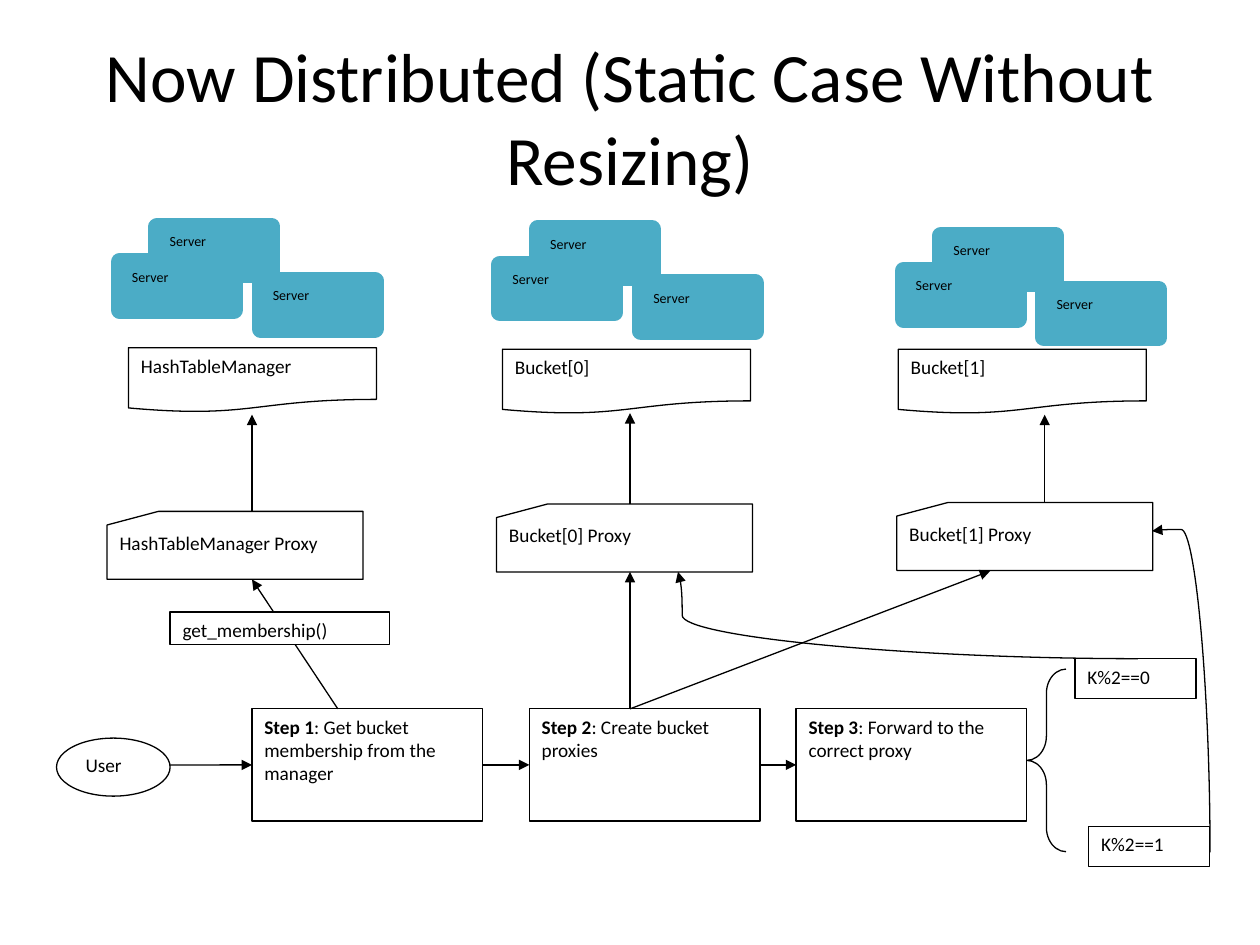
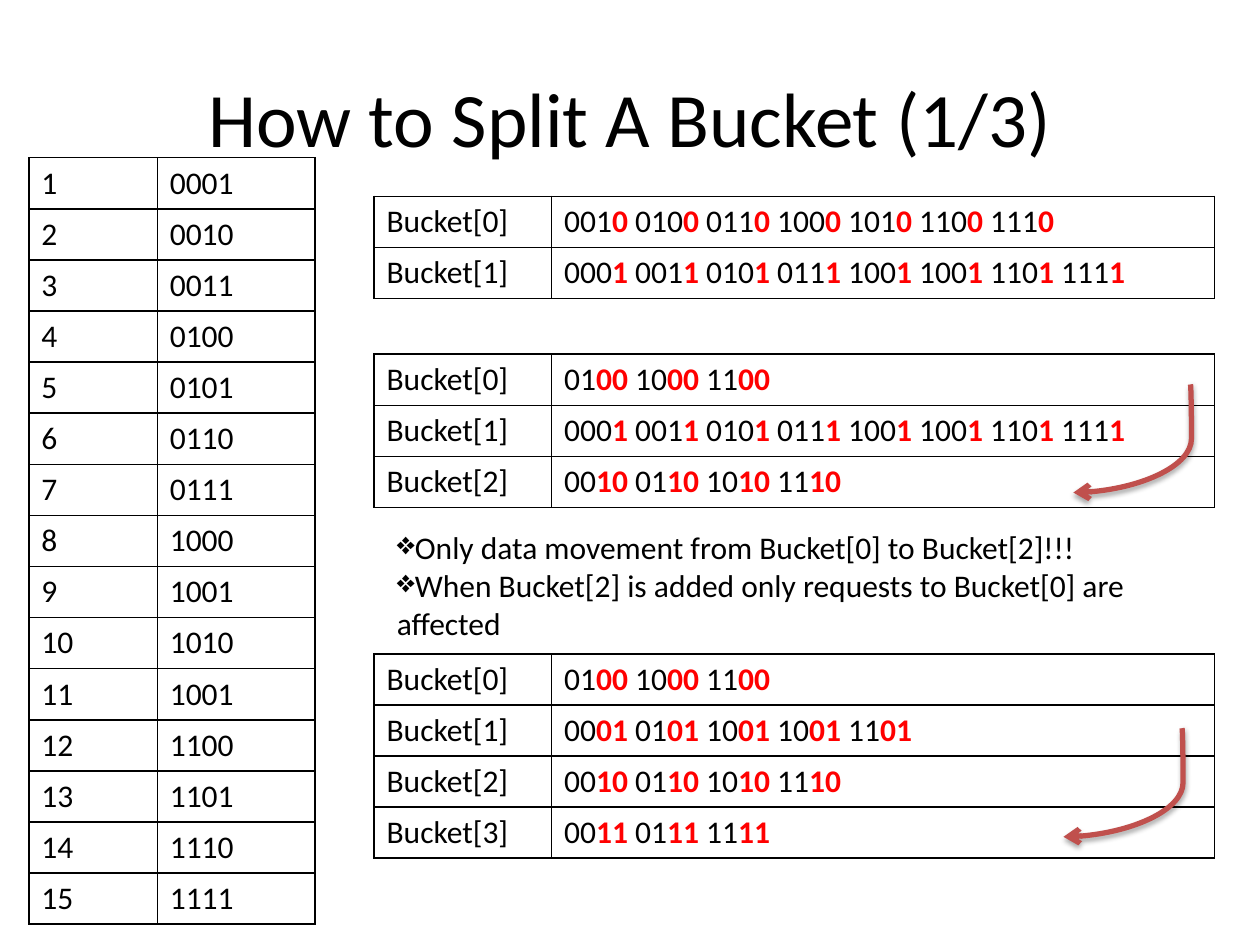
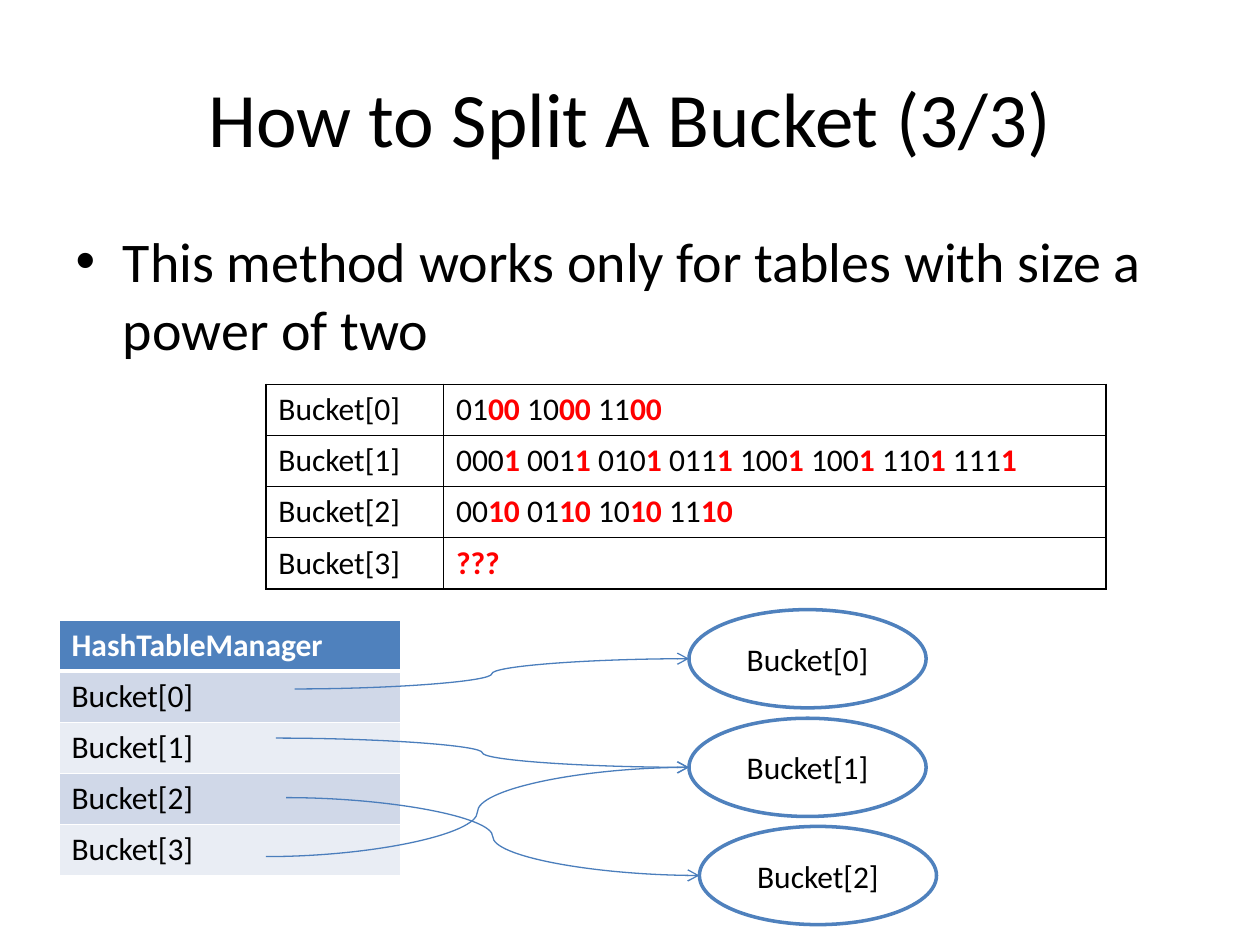
"""Build three slides on a distributed hash table and how its buckets split."""
from lxml.etree import SubElement
from pptx import Presentation
from pptx.dml.color import RGBColor
from pptx.enum.shapes import MSO_CONNECTOR, MSO_SHAPE
from pptx.enum.text import MSO_ANCHOR, MSO_AUTO_SIZE, PP_ALIGN
from pptx.oxml.ns import qn
from pptx.util import Cm, Pt

FONT = "Calibri"
BLACK = RGBColor(0x00, 0x00, 0x00)
WHITE = RGBColor(0xFF, 0xFF, 0xFF)
RED = RGBColor(0xFF, 0x00, 0x00)
TEAL = RGBColor(0x4B, 0xAC, 0xC6)
BLUE = RGBColor(0x4F, 0x81, 0xBD)
ARROW_BLUE = RGBColor(0x4B, 0x7E, 0xBC)
BRICK = RGBColor(0xC0, 0x50, 0x4D)
DARK_BAND = RGBColor(0xD0, 0xD8, 0xE8)
LIGHT_BAND = RGBColor(0xE9, 0xED, 0xF4)


def add_box(slide, preset, left, top, width, height, runs, size=11,
            fill=WHITE, line=BLACK, line_width=0.75):
    """Add a filled shape with top-left text given as (text, bold) runs."""
    shape = slide.shapes.add_shape(preset, Cm(left), Cm(top), Cm(width), Cm(height))
    shape.shadow.inherit = False
    shape.fill.solid()
    shape.fill.fore_color.rgb = fill
    shape.line.color.rgb = line
    shape.line.width = Pt(line_width)
    shape.text_frame.vertical_anchor = MSO_ANCHOR.TOP
    paragraph = shape.text_frame.paragraphs[0]
    paragraph.alignment = PP_ALIGN.LEFT
    paragraph.space_after = Pt(10)
    for text, bold in runs:
        run = paragraph.add_run()
        run.text = text
        run.font.name = FONT
        run.font.size = Pt(size)
        run.font.bold = bold
        run.font.color.rgb = BLACK
    return shape


def add_arrow(slide, start, end, color=BLACK, width=0.75, head="triangle", bend=None):
    """Add an arrow; a bend percentage makes it curved."""
    kind = MSO_CONNECTOR.STRAIGHT if bend is None else MSO_CONNECTOR.CURVE
    arrow = slide.shapes.add_connector(kind, *map(Cm, start + end))
    arrow.line.color.rgb = color
    arrow.line.width = Pt(width)
    properties = arrow._element.spPr
    SubElement(properties.find(qn("a:ln")), qn("a:tailEnd"), type=head)
    SubElement(properties, qn("a:effectLst"))
    if bend is not None:
        adjustments = properties.find(qn("a:prstGeom")).find(qn("a:avLst"))
        SubElement(adjustments, qn("a:gd"), name="adj1", fmla=f"val {round(bend * 1000)}")
    return arrow


presentation = Presentation()
presentation.slide_width = Cm(25.4)
presentation.slide_height = Cm(19.05)

slides = []
for layout, title, size in [
    (5, "Now Distributed (Static Case Without Resizing)", 39.6),
    (5, "How to Split A Bucket (1/3)", 44),
    (1, "How to Split A Bucket (3/3)", 44),
]:
    slide = presentation.slides.add_slide(presentation.slide_layouts[layout])
    run = slide.shapes.title.text_frame.paragraphs[0].add_run()
    run.text = title
    run.font.name = FONT
    run.font.size = Pt(size)
    run.font.color.rgb = BLACK
    slides.append(slide)
overview, splitting, limits = slides

codes = [f"{number:04b}" for number in range(1, 16)]
codes[10] = "1001"
tables = [
    (splitting, 0.58, 3.18, (2.59, 3.18),
     [(str(number), code, 0) for number, code in enumerate(codes, 1)]),
    (limits, 1.19, 12.5, (6.88,),
     [("HashTableManager", 0)] + [(f"Bucket[{index}]", 0) for index in range(4)]),
]
for slide, left, top, suffixes in [
    (splitting, 7.54, 3.96, ("0", "1")),
    (splitting, 7.54, 7.14, ("00", "1", "10")),
    (splitting, 7.54, 13.18, ("00", "01", "10", "11")),
    (limits, 5.36, 7.75, ("00", "1", "10", "???")),
]:
    rows = []
    for index, suffix in enumerate(suffixes):
        members = [code for code in codes if code.endswith(suffix)] or [suffix]
        rows.append((f"Bucket[{index}]", " ".join(members), len(suffix)))
    tables.append((slide, left, top, (3.58, 13.36), rows))

for slide, left, top, widths, rows in tables:
    is_manager = len(widths) == 1
    table = slide.shapes.add_table(len(rows), len(widths), Cm(left), Cm(top),
                                   Cm(sum(widths)), Cm(1.03 * len(rows))).table
    table.first_row = False
    table.horz_banding = False
    for column, width in zip(table.columns, widths):
        column.width = Cm(width)
    for row_index, (*texts, marked) in enumerate(rows):
        table.rows[row_index].height = Cm(1.03)
        is_header = is_manager and row_index == 0
        for column_index, text in enumerate(texts):
            cell = table.cell(row_index, column_index)
            for side in "LRTB":
                thick = is_manager and (row_index, side) in ((0, "B"), (1, "T"))
                border = SubElement(cell._tc.get_or_add_tcPr(), qn(f"a:ln{side}"),
                                    w=str(Pt(3 if thick else 1)))
                color = SubElement(border, qn("a:solidFill"))
                SubElement(color, qn("a:srgbClr"), val=str(WHITE if is_manager else BLACK))
            if is_manager:
                cell.fill.solid()
                band = DARK_BAND if row_index % 2 else LIGHT_BAND
                cell.fill.fore_color.rgb = BLUE if is_header else band
            else:
                cell.fill.background()
            paragraph = cell.text_frame.paragraphs[0]
            words = text.split()
            for word_index, word in enumerate(words):
                cut = len(word) - (marked if column_index else 0)
                gap = " " if word_index < len(words) - 1 else ""
                for part, highlighted in ((word[:cut], False), (word[cut:] + gap, True)):
                    if part:
                        run = paragraph.add_run()
                        run.text = part
                        run.font.name = FONT
                        run.font.size = Pt(18)
                        run.font.bold = highlighted or is_header
                        run.font.color.rgb = RED if highlighted else WHITE if is_header else BLACK

for name, servers, document, card, arrow_x, arrow_end in [
    ("HashTableManager", (2.41, 4.57), (2.59, 7.01), (2.16, 10.31), 5.08, 8.36),
    ("Bucket[0]", (10.08, 4.62), (10.13, 7.04), (10.01, 10.16), 12.7, 8.33),
    ("Bucket[1]", (18.21, 4.75), (18.11, 7.04), (18.08, 10.13), 21.06, 8.36),
]:
    for right, down in ((0.76, 0), (0, 0.71), (2.84, 1.09)):
        add_box(overview, MSO_SHAPE.RECTANGLE, servers[0] + right, servers[1] + down,
                2.31, 0.97, [("Server", False)], 8, TEAL, TEAL, 10)
    add_box(overview, MSO_SHAPE.FLOWCHART_DOCUMENT, *document, 5, 1.3, [(name, False)])
    add_box(overview, MSO_SHAPE.FLOWCHART_CARD, *card, 5.16, 1.37, [(f"{name} Proxy", False)])
    add_arrow(overview, (arrow_x, card[1]), (arrow_x, arrow_end))

add_box(overview, MSO_SHAPE.OVAL, 1.14, 14.88, 2.29, 1.17, [("User", False)])
previous_step = None
for number, (left, text) in enumerate([
    (5.08, ": Get bucket membership from the manager"),
    (10.67, ": Create bucket proxies"),
    (16.05, ": Forward to the correct proxy"),
], 1):
    step = add_box(overview, MSO_SHAPE.RECTANGLE, left, 14.29, 4.65, 2.26,
                   [(f"Step {number}", True), (text, False)])
    arrow = add_arrow(overview, (3.43, 15.42), (left, 15.42))
    if previous_step:
        arrow.begin_connect(previous_step, 3)
    arrow.end_connect(step, 1)
    previous_step = step

add_arrow(overview, (6.81, 14.29), (5.08, 11.68))
add_arrow(overview, (12.7, 14.29), (12.7, 11.53))
add_arrow(overview, (12.7, 14.29), (19.96, 11.51))
for text, left, top, width, height in [
    ("get_membership()", 3.43, 12.34, 4.42, 0.66),
    ("K%2==0", 21.67, 13.28, 2.44, 0.81),
    ("K%2==1", 21.95, 16.66, 2.44, 0.81),
]:
    add_box(overview, MSO_SHAPE.RECTANGLE, left, top, width, height, [(text, False)])

brace = add_box(overview, MSO_SHAPE.LEFT_BRACE, 20.7, 13.49, 0.79, 3.68, [])
brace.fill.background()
brace.adjustments[0] = 0.62
add_arrow(overview, (22.94, 13.28), (13.67, 11.53), bend=99.1)
odd_key_arrow = add_arrow(overview, (27.05, 13.36), (20.57, 14.53), bend=100.5)
odd_key_arrow._element.spPr.find(qn("a:xfrm")).set("rot", "5400000")

for start, end in [((24, 7.75), (21.64, 9.93)), ((23.83, 14.68), (21.44, 16.87))]:
    arrow = add_arrow(splitting, start, end, BRICK, 3, "arrow", -0.9)
    effects = arrow._element.spPr.find(qn("a:effectLst"))
    shadow = SubElement(effects, qn("a:outerShdw"), blurRad=str(Pt(3.1)), dist=str(Pt(1.8)),
                        dir="5400000", rotWithShape="0")
    shadow_color = SubElement(shadow, qn("a:srgbClr"), val=str(BLACK))
    SubElement(shadow_color, qn("a:alpha"), val="35000")

remarks = splitting.shapes.add_textbox(Cm(7.75), Cm(10.52), Cm(16.87), Cm(2.57)).text_frame
remarks.word_wrap = True
remarks.auto_size = MSO_AUTO_SIZE.SHAPE_TO_FIT_TEXT
body = limits.placeholders[1].text_frame
for paragraph, text, size, bullet in [
    (remarks.paragraphs[0], "Only data movement from Bucket[0] to Bucket[2]!!!", 18, "❖"),
    (remarks.add_paragraph(),
     "When Bucket[2] is added only requests to Bucket[0] are affected", 18, "❖"),
    (body.paragraphs[0], "This method works only for tables with size a power of two", 32, "•"),
]:
    SubElement(paragraph._p.get_or_add_pPr(), qn("a:buChar"), char=bullet)
    run = paragraph.add_run()
    run.text = text
    run.font.name = FONT
    run.font.size = Pt(size)
    run.font.color.rgb = BLACK

for index, (left, top) in enumerate([(13.89, 12.29), (13.89, 14.48), (14.1, 16.66)]):
    bucket = add_box(limits, MSO_SHAPE.OVAL, left, top, 4.78, 1.98,
                     [(f"Bucket[{index}]", False)], 18, WHITE, BLUE, 2)
    bucket.text_frame.vertical_anchor = MSO_ANCHOR.MIDDLE
    bucket.text_frame.paragraphs[0].alignment = PP_ALIGN.CENTER
    bucket.text_frame.paragraphs[0].space_after = Pt(0)

for start, end in [
    ((5.94, 13.89), (13.89, 13.28)),
    ((5.56, 14.88), (13.89, 15.47)),
    ((5.77, 16.08), (14.1, 17.65)),
    ((5.36, 17.27), (13.89, 15.47)),
]:
    add_arrow(limits, start, end, ARROW_BLUE, 0.75, "arrow", 50)

presentation.save("out.pptx")
